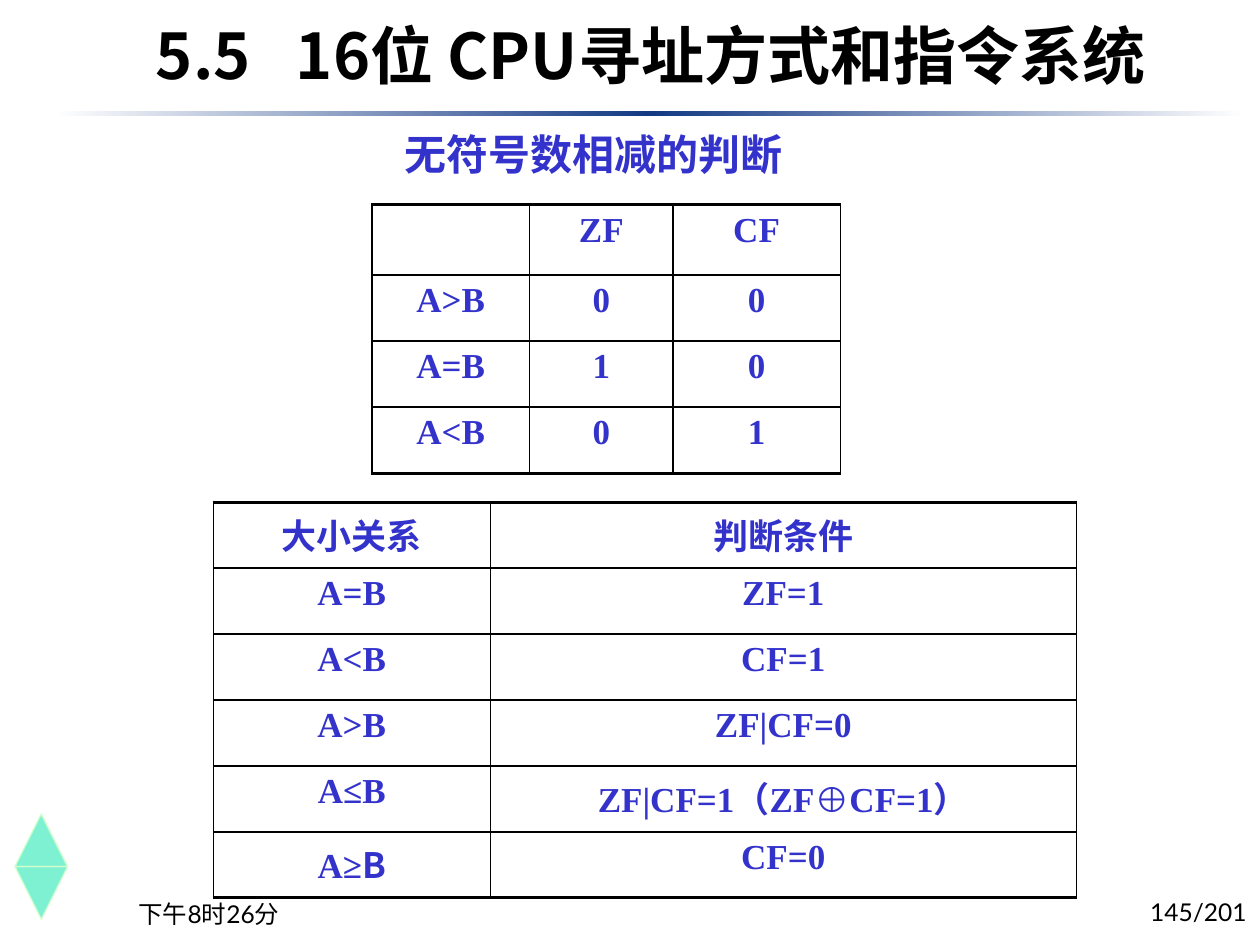
from dataclasses import dataclass

import lxml.etree
import pptx
import pptx.dml.color
import pptx.enum.shapes
import pptx.enum.text
import pptx.oxml.ns
import pptx.util

Pt = pptx.util.Pt
qn = pptx.oxml.ns.qn
ALIGN = pptx.enum.text.PP_ALIGN
ANCHOR = pptx.enum.text.MSO_ANCHOR
SHAPE = pptx.enum.shapes.MSO_SHAPE

SERIF, SANS, HAN = "Times New Roman", "Lato", "Noto Sans CJK SC"
BLACK, BLUE, NAVY, WHITE = "000000", "3333CC", "133984", "FFFFFF"
MINT, PALE_GREEN = "00E4A8", "CCFFCC"


@dataclass
class TextStyle:
    font: str
    size: float
    color: str
    bold: bool = False


@dataclass
class Label:
    text: str
    left: float
    top: float
    width: float
    height: float
    style: TextStyle
    align: ALIGN = ALIGN.LEFT
    anchor: ANCHOR = ANCHOR.TOP
    margin: float = 3.6
    tab_stop: float = 0


@dataclass
class Grid:
    left: float
    top: float
    columns: list[float]
    rows: list[float]
    texts: list[list[str]]


TABLE_STYLE = TextStyle(SERIF, 20, BLUE, True)
FOOTER_STYLE = TextStyle(SANS, 14, BLACK)

LABELS = [
    Label("无符号数相减的判断", 224, 69.8, 244, 36, TextStyle(SERIF, 24, BLUE, True)),
    Label("下午8时26分", 72, 498.2, 150, 36, FOOTER_STYLE, anchor=ANCHOR.BOTTOM),
    Label("145/201", 569.5, 496.8, 150, 36, FOOTER_STYLE, ALIGN.RIGHT, ANCHOR.BOTTOM),
    Label("5.5\t16位 CPU寻址方式和指令系统", 82, 9.4, 613, 43.2,
          TextStyle(HAN, 36, BLACK, True), anchor=ANCHOR.MIDDLE, margin=0, tab_stop=80),
]

FLAG_GRID = Grid(212.6, 117, [90, 82, 95.5], [40] + [37.8] * 3, [
    ["", "ZF", "CF"],
    ["A>B", "0", "0"],
    ["A=B", "1", "0"],
    ["A<B", "0", "1"],
])
CONDITION_GRID = Grid(121.8, 287, [158.4, 334.8], [37.7] * 6, [
    ["大小关系", "判断条件"],
    ["A=B", "ZF=1"],
    ["A<B", "CF=1"],
    ["A>B", "ZF|CF=0"],
    ["A≤B", "ZF|CF=1（ZF⊕CF=1）"],
    ["A≥B", "CF=0"],
])


def rgb(color: str) -> pptx.dml.color.RGBColor:
    return pptx.dml.color.RGBColor.from_string(color)


def format_run(run, style: TextStyle) -> None:
    run.font.name = style.font
    run.font.size = Pt(style.size)
    run.font.bold = style.bold
    run.font.color.rgb = rgb(style.color)
    east_asian = lxml.etree.Element(qn("a:ea"), typeface=HAN)
    run.font._element.find(qn("a:latin")).addnext(east_asian)


def draw_label(slide, label: Label) -> None:
    box = slide.shapes.add_textbox(Pt(label.left), Pt(label.top), Pt(label.width), Pt(label.height))
    frame = box.text_frame
    frame.word_wrap = True
    frame.vertical_anchor = label.anchor
    frame.margin_top = frame.margin_bottom = Pt(label.margin)
    frame.text = label.text
    paragraph = frame.paragraphs[0]
    paragraph.alignment = label.align
    if label.tab_stop:
        tabs = lxml.etree.SubElement(paragraph._p.get_or_add_pPr(), qn("a:tabLst"))
        lxml.etree.SubElement(tabs, qn("a:tab"), pos=str(Pt(label.tab_stop)), algn="l")
    format_run(paragraph.runs[0], label.style)


def set_borders(cell, widths: dict[str, float]) -> None:
    """Give the cell black borders; the schema wants them before the fill."""
    properties = cell._tc.get_or_add_tcPr()
    for index, (side, width) in enumerate(widths.items()):
        line = lxml.etree.Element(qn(f"a:ln{side}"), w=str(Pt(width)))
        fill = lxml.etree.SubElement(line, qn("a:solidFill"))
        lxml.etree.SubElement(fill, qn("a:srgbClr"), val=BLACK)
        properties.insert(index, line)


def draw_grid(slide, grid: Grid):
    row_count, column_count = len(grid.rows), len(grid.columns)
    table = slide.shapes.add_table(row_count, column_count, Pt(grid.left), Pt(grid.top),
                                   Pt(sum(grid.columns)), Pt(sum(grid.rows))).table
    table.first_row = table.horz_banding = False
    for column, width in zip(table.columns, grid.columns):
        column.width = Pt(width)
    for row, height in zip(table.rows, grid.rows):
        row.height = Pt(height)
    for r, texts in enumerate(grid.texts):
        for c, text in enumerate(texts):
            cell = table.cell(r, c)
            cell.fill.background()
            set_borders(cell, {
                "L": 0.75 if c == 0 else 1,
                "R": 0.75 if c == column_count - 1 else 1,
                "T": 2 if r == 0 else 1,
                "B": 2 if r == row_count - 1 else 1,
            })
            cell.text_frame.text = text
            paragraph = cell.text_frame.paragraphs[0]
            paragraph.alignment = ALIGN.CENTER
            for run in paragraph.runs:
                format_run(run, TABLE_STYLE)
    return table


def draw_rule_half(slide, left: float, start: str, end: str) -> None:
    shape = slide.shapes.add_shape(SHAPE.RECTANGLE, Pt(left), Pt(63.4), Pt(340), Pt(2.9))
    shape.shadow.inherit = False
    shape.line.fill.background()
    shape.fill.gradient()
    shape.fill.gradient_angle = 0
    for stop, color in zip(shape.fill.gradient_stops, (start, end)):
        stop.color.rgb = rgb(color)


def draw_arrow(slide, top: float, rotation: float) -> None:
    shape = slide.shapes.add_shape(SHAPE.ISOSCELES_TRIANGLE, Pt(8.6), Pt(top), Pt(30), Pt(30))
    shape.rotation = rotation
    shape.shadow.inherit = False
    shape.fill.solid()
    shape.fill.fore_color.rgb = rgb(MINT)
    color = shape._element.spPr.find(qn("a:solidFill")).find(qn("a:srgbClr"))
    lxml.etree.SubElement(color, qn("a:alpha"), val="50000")
    shape.line.color.rgb = rgb(PALE_GREEN)
    shape.line.width = Pt(0.75)


def main() -> None:
    presentation = pptx.Presentation()
    presentation.slide_width, presentation.slide_height = Pt(720), Pt(540)
    slide = presentation.slides.add_slide(presentation.slide_layouts[6])

    draw_rule_half(slide, 31.5, WHITE, NAVY)
    draw_rule_half(slide, 371.5, NAVY, WHITE)
    draw_arrow(slide, 465.2, 0)
    draw_arrow(slide, 495.2, 180)

    draw_grid(slide, FLAG_GRID)
    condition_table = draw_grid(slide, CONDITION_GRID)
    last_relation = condition_table.cell(5, 0).text_frame.paragraphs[0]
    last_relation.runs[0].text = "A≥"
    operand = last_relation.add_run()
    operand.text = "B"
    format_run(operand, TextStyle(HAN, 20, BLUE, True))

    for label in LABELS:
        draw_label(slide, label)
    presentation.save("out.pptx")


if __name__ == "__main__":
    main()
